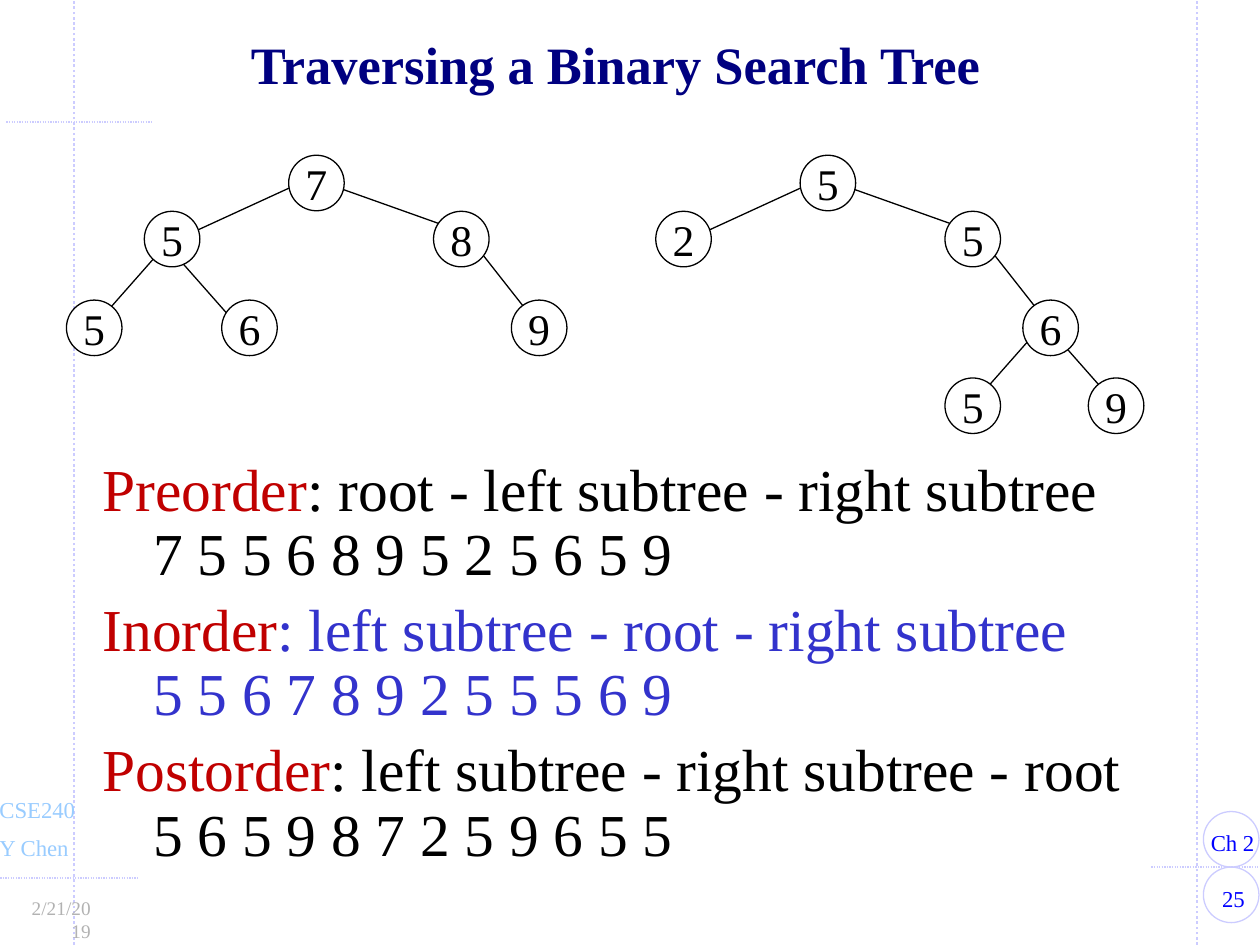
from pptx import Presentation
from pptx.dml.color import RGBColor
from pptx.enum import dml, shapes, text
from pptx.oxml.ns import qn
from pptx.util import Cm, Pt
from lxml import etree

FONT = "Times New Roman"
BLACK, WHITE, RED, INDIGO = "000000", "FFFFFF", "C00000", "3333CC"
NAVY, BLUE, SKY, GREY, LILAC = "000080", "0000FF", "99CCFF", "B2B2B2", "CCCCFF"
LEFT, CENTER, RIGHT = text.PP_ALIGN.LEFT, text.PP_ALIGN.CENTER, text.PP_ALIGN.RIGHT
NODE = 1.12
HANGING = 1.02

WIDE_BRANCHES = [(2.01, 1.8), (4.93, 0.46), (8.05, 1.57), (9.63, 3.58)]
UPPER_NODES = [(4.48, 0), (1.57, 1.13), (7.4, 1.13)]
TRAVERSALS = [
    ("Preorder", "root - left subtree - right subtree", "7 5 5 6 8 9 5 2 5 6 5 9", BLACK),
    ("Inorder", "left subtree - root - right subtree", "5 5 6 7 8 9 2 5 5 5 6 9", INDIGO),
    ("Postorder", "left subtree - right subtree - root", "5 6 5 9 8 7 2 5 9 6 5 5", BLACK),
]


def color(value):
    return RGBColor.from_string(value)


def box(left, top, width, height):
    return Cm(left), Cm(top), Cm(width), Cm(height)


def style_line(part, line_color, width=0.75):
    part.line.color.rgb = color(line_color)
    part.line.width = Pt(width)


def write(paragraph, words, size, ink, bold=False, align=LEFT):
    paragraph.alignment = align
    run = paragraph.add_run()
    run.text = words
    run.font.name, run.font.size, run.font.bold = FONT, Pt(size), bold
    run.font.color.rgb = color(ink)


def add_frame(slide, left, top, width, height):
    frame = slide.shapes.add_textbox(*box(left, top, width, height)).text_frame
    frame.word_wrap = True
    frame.margin_left = frame.margin_right = Cm(0.27)
    frame.margin_top = frame.margin_bottom = Cm(0.13)
    return frame


def hang(paragraph, line_spacing):
    properties = paragraph._p.get_or_add_pPr()
    properties.set("marL", str(Cm(HANGING)))
    properties.set("indent", str(-Cm(HANGING)))
    paragraph.line_spacing = line_spacing


def add_circle(slide, left, top, line_color, fill=None):
    circle = slide.shapes.add_shape(shapes.MSO_SHAPE.OVAL, *box(left, top, NODE, NODE))
    circle.shadow.inherit = False
    style_line(circle, line_color)
    if fill:
        circle.fill.solid()
        circle.fill.fore_color.rgb = color(fill)
    else:
        circle.fill.background()
    return circle


def add_rule(slide, x1, y1, x2, y2, width=0.75):
    rule = slide.shapes.add_connector(
        shapes.MSO_CONNECTOR.STRAIGHT, Cm(x1), Cm(y1), Cm(x2), Cm(y2))
    style_line(rule, LILAC, width)
    rule.line.dash_style = dml.MSO_LINE.ROUND_DOT
    etree.SubElement(rule._element.spPr, qn("a:effectLst"))


def add_margins(slide):
    """Dotted rules, page badges, course labels and date around the slide."""
    for x in (1.49, 24.13):
        add_rule(slide, x, 19.05, x, 0, 1.5)
    for x1, x2, y in ((-0.15, 2.77, 17.7), (23.21, 25.53, 17.48), (0.13, 3.05, 2.46)):
        add_rule(slide, x1, y, x2, y)
    for top in (17.48, 17.48 - NODE):
        add_circle(slide, 24.26, top, LILAC)
    labels = [
        ("25", (24.13, 17.7, 1.47, 0.81), 13, BLUE, CENTER),
        ("Ch 2", (24.14, 16.57, 1.6, 0.81), 13, BLUE, LEFT),
        ("Y Chen", (-0.28, 16.67, 2.4, 0.81), 13, SKY, LEFT),
        ("CSE240", (-0.28, 15.91, 2.4, 0.81), 13, SKY, LEFT),
        ("2/21/2019", (0.2, 17.93, 1.9, 0.74), 11, GREY, RIGHT),
    ]
    for words, place, size, ink, align in labels:
        frame = add_frame(slide, *place)
        write(frame.paragraphs[0], words, size, ink, align=align)


def add_title(slide, left, top, width, height):
    frame = add_frame(slide, left, top, width, height)
    frame.vertical_anchor = text.MSO_ANCHOR.MIDDLE
    hang(frame.paragraphs[0], 0.85)
    write(frame.paragraphs[0], "Traversing a Binary Search Tree", 30, NAVY, True, CENTER)


def add_traversals(slide, left, top, width, height):
    frame = add_frame(slide, left, top, width, height)
    for index, (order, rule, keys, ink) in enumerate(TRAVERSALS):
        paragraph = frame.add_paragraph() if index else frame.paragraphs[0]
        hang(paragraph, 0.9)
        if index:
            paragraph.space_before = Pt(6.8)
        write(paragraph, order, 34, RED)
        write(paragraph, f": {rule}", 34, ink)
        paragraph.add_line_break()
        write(paragraph, keys, 34, ink)


def fork(x, y):
    """Corner points of the two branches that leave the node at (x, y)."""
    return [(x - 1.57, y + 1.78), (x, y), (x + 1.57, y + 1.78)]


def add_tree(slide, left, top, fork_at, nodes):
    for branches in (fork(*fork_at), WIDE_BRANCHES):
        points = [(Cm(left + x), Cm(top + y)) for x, y in branches]
        builder = slide.shapes.build_freeform(*points[0])
        builder.add_line_segments(points[1:], close=False)
        outline = builder.convert_to_shape()
        outline.shadow.inherit = False
        outline.fill.background()
        style_line(outline, BLACK)
    for key, (x, y) in nodes:
        frame = add_circle(slide, left + x, top + y, BLACK, WHITE).text_frame
        frame.word_wrap = False
        frame.vertical_anchor = text.MSO_ANCHOR.MIDDLE
        write(frame.paragraphs[0], key, 25, BLACK, align=CENTER)


def main():
    deck = Presentation()
    deck.slide_width, deck.slide_height = Cm(25.4), Cm(19.05)
    slide = deck.slides.add_slide(deck.slide_layouts[6])
    add_margins(slide)
    add_title(slide, 1.57, 0.43, 21.69, 1.91)
    add_traversals(slide, 1.8, 9.14, 22.33, 9.47)
    left_leaves = [(0, 2.92), (3.13, 2.92), (8.97, 2.92)]
    right_leaves = [(8.97, 2.92), (7.4, 4.49), (10.29, 4.49)]
    add_tree(slide, 1.34, 3.13, (2.01, 1.8), zip("758569", UPPER_NODES + left_leaves))
    add_tree(slide, 11.65, 3.13, (9.4, 3.38), zip("525659", UPPER_NODES + right_leaves))
    deck.save("out.pptx")


if __name__ == "__main__":
    main()
